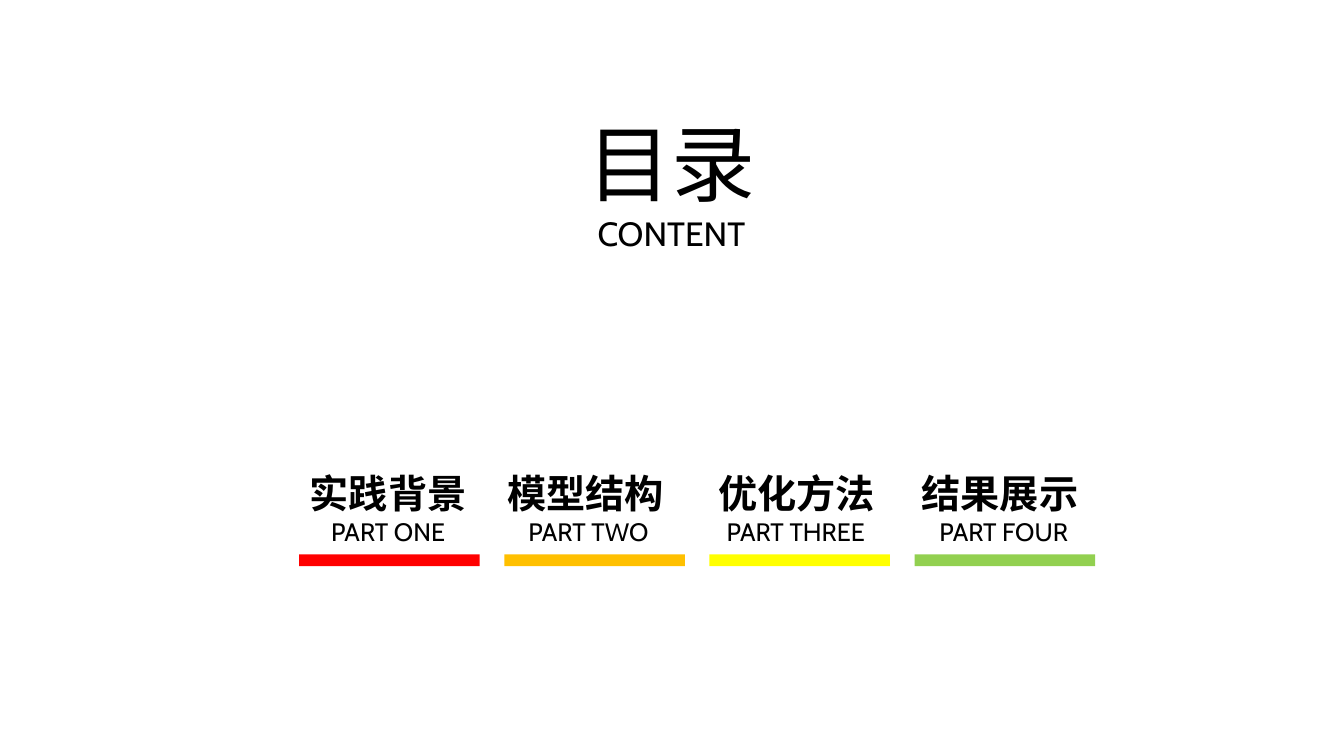
from pptx import Presentation
from pptx.dml.color import RGBColor
from pptx.enum.shapes import MSO_SHAPE
from pptx.enum.text import MSO_ANCHOR, MSO_AUTO_SIZE, PP_ALIGN
from pptx.util import Cm, Pt

RECT = MSO_SHAPE.RECTANGLE
TOP = MSO_ANCHOR.TOP
GROW = MSO_AUTO_SIZE.SHAPE_TO_FIT_TEXT
CENTER = PP_ALIGN.CENTER

FONT = "Cabin"
COLORS = {
    "ink": "000000",
    "red": "FF0000",
    "orange": "FFC000",
    "yellow": "FFFF00",
    "green": "92D050",
}
# name, left of name, label, left and width of label, bar colour (cm)
PARTS = [
    ("实践背景", 7.34, "PART ONE", 7.75, 4.06, "red"),
    ("模型结构", 12.32, "PART TWO", 12.62, 4.42, "orange"),
    ("优化方法", 17.63, "PART THREE", 17.68, 4.75, "yellow"),
    ("结果展示", 22.76, "PART FOUR", 23.34, 3.91, "green"),
]
BAR_LEFT, BAR_STEP = 7.54, 5.17


class Deck:
    def __init__(self):
        self.prs = Presentation()
        self.prs.slide_width = Cm(33.87)
        self.prs.slide_height = Cm(19.05)
        self.slide = self.prs.slides.add_slide(self.prs.slide_layouts[5])

    def color(self, name):
        return RGBColor.from_string(COLORS[name])

    def style(self, para, size, bold=False, space=1.0):
        para.alignment = CENTER
        para.line_spacing = space
        for run in para.runs:
            run.font.name = FONT
            run.font.size = Pt(size)
            run.font.bold = bold
            run.font.color.rgb = self.color("ink")

    def title(self, lines, sizes, left, top, width, height):
        shape = self.slide.shapes.title
        shape.left, shape.top = Cm(left), Cm(top)
        shape.width, shape.height = Cm(width), Cm(height)
        frame = shape.text_frame
        frame.text = "\n".join(lines)
        frame.word_wrap = False
        frame.auto_size = GROW
        frame.vertical_anchor = TOP
        for para, size in zip(frame.paragraphs, sizes):
            self.style(para, size)

    def text(self, words, size, left, top, width, height, bold=False):
        box = self.slide.shapes.add_textbox(
            Cm(left), Cm(top), Cm(width), Cm(height))
        frame = box.text_frame
        frame.text = words
        frame.word_wrap = True
        frame.auto_size = GROW
        self.style(frame.paragraphs[0], size, bold, 1.3)

    def bar(self, color, left, top, width, height):
        shape = self.slide.shapes.add_shape(
            RECT, Cm(left), Cm(top), Cm(width), Cm(height))
        shape.shadow.inherit = False
        shape.fill.solid()
        shape.fill.fore_color.rgb = self.color(color)
        shape.line.fill.background()


def main():
    deck = Deck()
    deck.title(["目录", "CONTENT"], [60, 24], 14.53, 2.69, 4.78, 3.84)
    for i, (name, name_left, label, left, width, color) in enumerate(PARTS):
        deck.text(label, 18, left, 12.65, width, 1.24)
        deck.text(name, 28, name_left, 11.35, 4.88, 1.65, bold=True)
        deck.bar(color, BAR_LEFT + i * BAR_STEP, 13.97, 4.55, 0.3)
    deck.prs.save("out.pptx")


if __name__ == "__main__":
    main()
